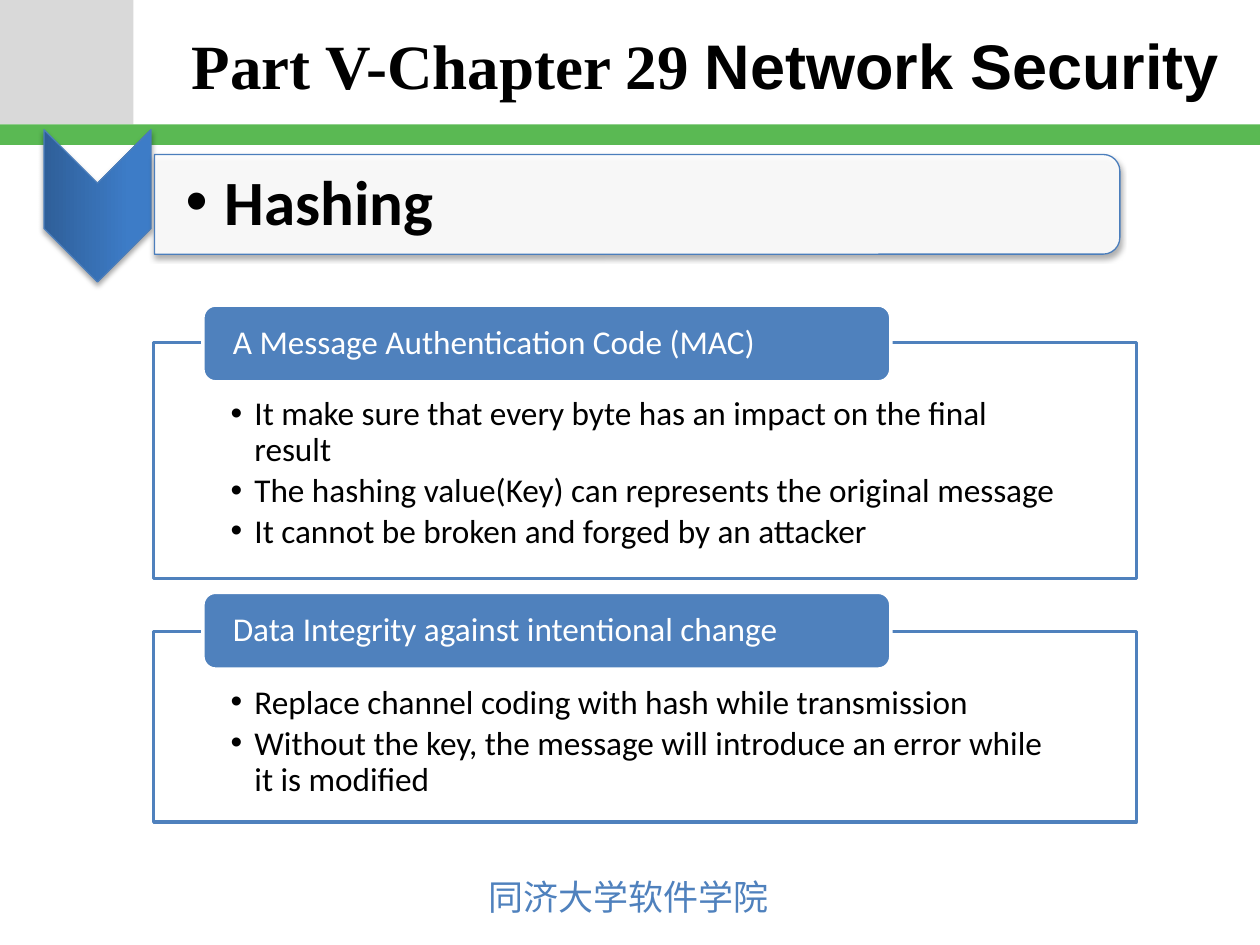
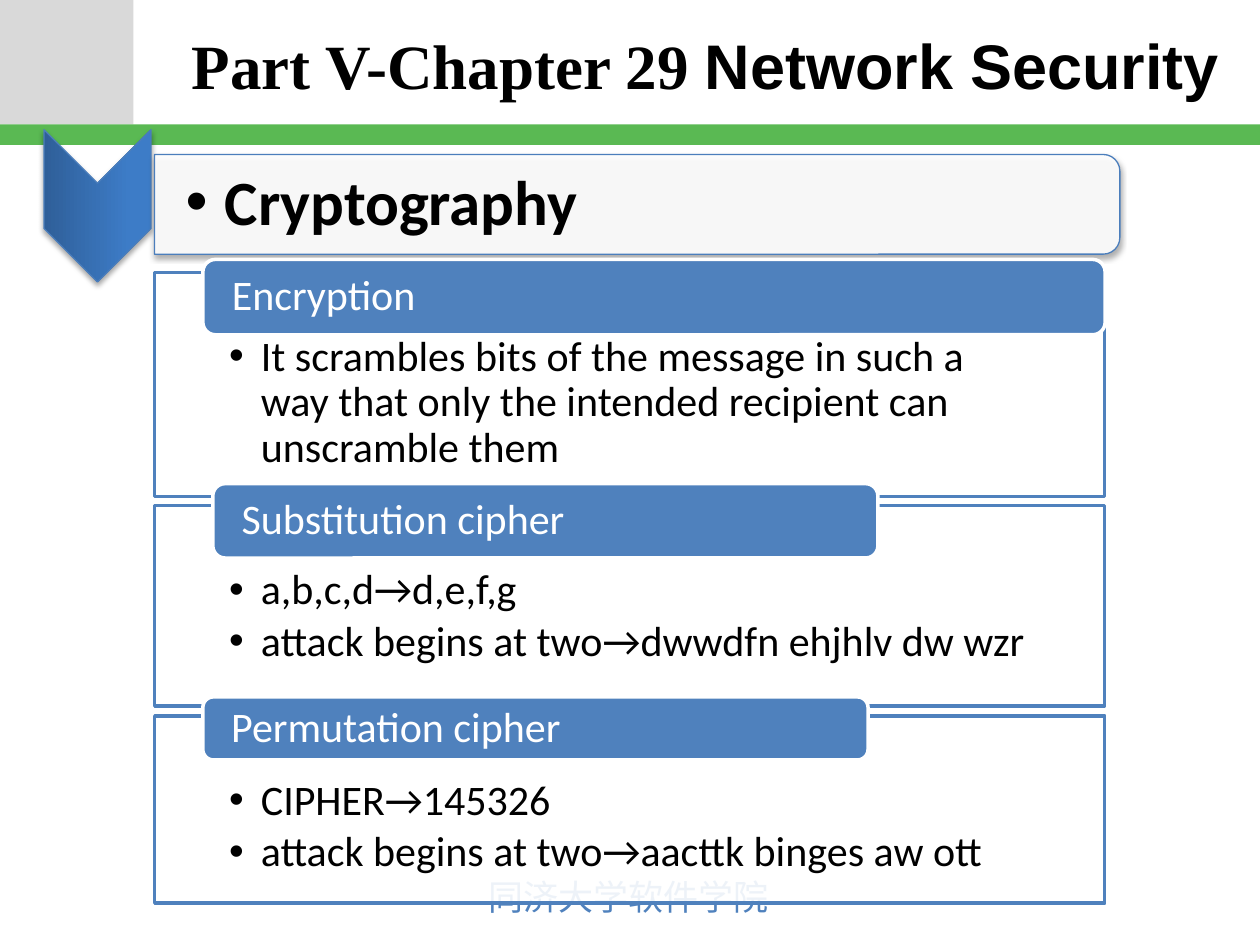
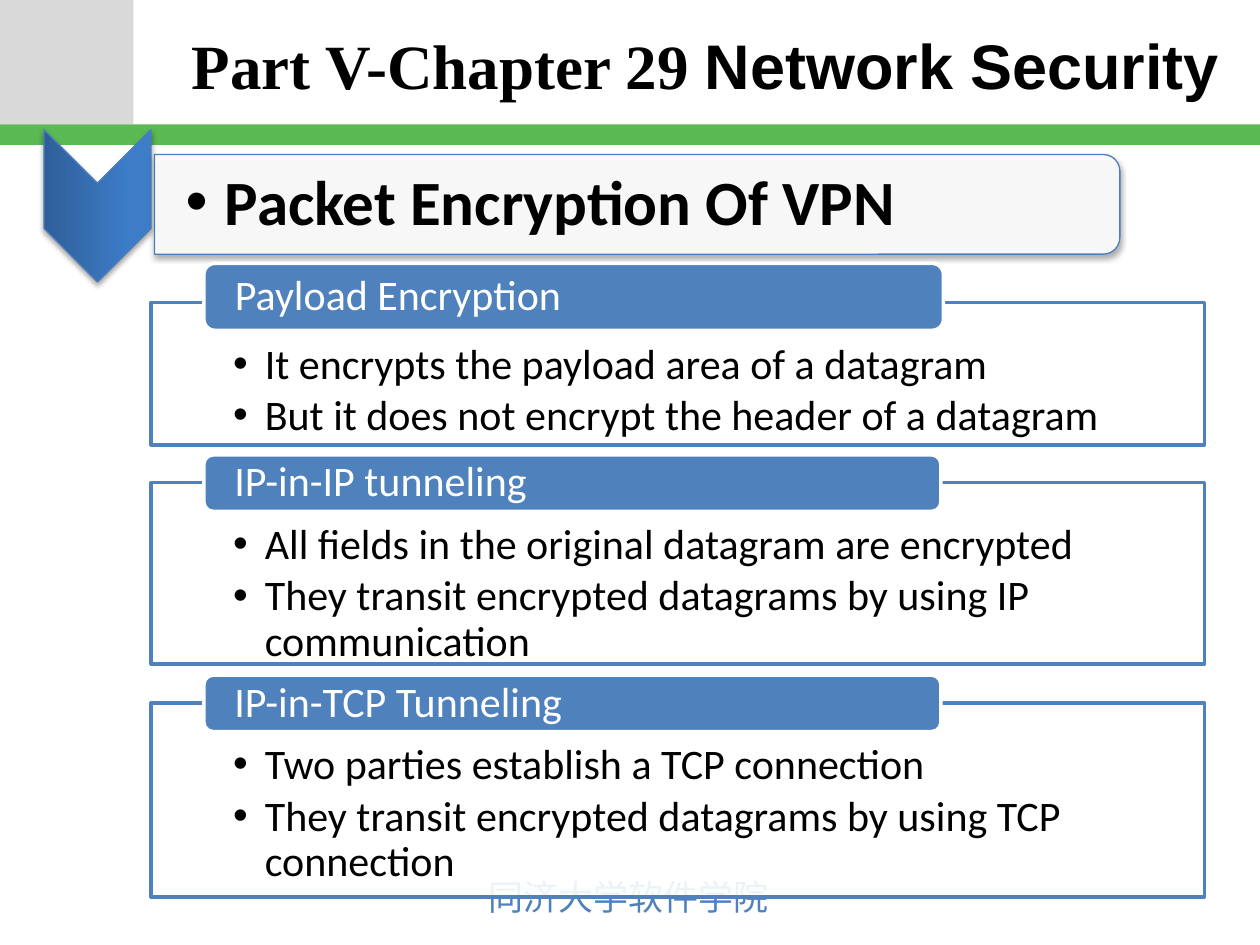
import pptx
import pptx.util
import pptx.dml.color
import pptx.enum.shapes
import pptx.enum.text
import pptx.oxml
import pptx.oxml.ns
from lxml import etree

Cm, Pt = pptx.util.Cm, pptx.util.Pt
RGB = pptx.dml.color.RGBColor
KIND = pptx.enum.shapes.MSO_SHAPE
ALIGN = pptx.enum.text.PP_ALIGN
ANCHOR = pptx.enum.text.MSO_ANCHOR
qn = pptx.oxml.ns.qn

WHITE = RGB(0xFF, 0xFF, 0xFF)
BLACK = RGB(0x00, 0x00, 0x00)
GREY = RGB(0xD9, 0xD9, 0xD9)
GREEN = RGB(0x5A, 0xB9, 0x53)
BLUE = RGB(0x4F, 0x81, 0xBD)
EDGE = RGB(0x4B, 0x7E, 0xBC)
DARK = RGB(0x2F, 0x5F, 0x99)
LIGHT = RGB(0x3D, 0x7C, 0xC7)

# Content: lengths in cm, sizes in points
TITLE = [("Part V-Chapter 29 ", "Times New Roman"), ("Network Security", "Arial")]
FOOTER = "同济大学软件学院"

# box: (top, height); tab: (left, top, width, height)
SLIDES = [
    dict(head="Hashing", size=19, left=3.1, width=19.81,
         side=1.55, top=1.09, hang=0.48, tab_side=0.53, parts=[
        ("A Message Authentication Code (MAC)", (6.91, 4.75), (4.09, 6.15, 13.87, 1.55),
         ["It make sure that every byte has an impact on the final result",
          "The hashing value(Key) can represents the original message",
          "It cannot be broken and forged by an attacker"]),
        ("Data Integrity against intentional change", (12.73, 3.84), (4.09, 11.94, 13.87, 1.55),
         ["Replace channel coding with hash while transmission",
          "Without the key, the message will introduce an error while it is modified"]),
    ]),
    dict(head="Cryptography", size=24, left=3.12, width=19.15,
         side=1.5, top=1.27, hang=0.64, tab_side=0.51, parts=[
        ("Encryption", (5.49, 4.52), (4.09, 5.23, 18.19, 1.52),
         ["It scrambles bits of the message in such a way that only the "
          "intended recipient can unscramble them"]),
        ("Substitution cipher", (10.19, 4.04), (4.29, 9.75, 13.41, 1.5),
         ["a,b,c,d→d,e,f,g",
          "attack begins at two→dwwdfn ehjhlv dw wzr"]),
        ("Permutation cipher", (14.43, 3.78), (4.09, 14.05, 13.41, 1.27),
         ["CIPHER→145326",
          "attack begins at two→aacttk binges aw ott"]),
    ]),
    dict(head="Packet Encryption Of VPN", size=24, left=3.05, width=21.23,
         side=1.65, top=0.81, hang=0.64, tab_side=0.56, parts=[
        ("Payload Encryption", (6.1, 2.87), (4.11, 5.31, 14.91, 1.35),
         ["It encrypts the payload area of a datagram",
          "But it does not encrypt the header of a datagram"]),
        ("IP-in-IP tunneling", (9.73, 3.66), (4.11, 9.17, 14.86, 1.14),
         ["All fields in the original datagram are encrypted",
          "They transit encrypted datagrams by using IP communication"]),
        ("IP-in-TCP Tunneling", (14.17, 3.91), (4.11, 13.61, 14.86, 1.14),
         ["Two parties establish a TCP connection",
          "They transit encrypted datagrams by using TCP connection"]),
    ]),
]


# Helpers
def place(shape, left, top, width, height):
    shape.left, shape.top = Cm(left), Cm(top)
    shape.width, shape.height = Cm(width), Cm(height)


def add(slide, kind, at, fill=None, line=None, weight=2):
    shape = slide.shapes.add_shape(kind, *map(Cm, at))
    shape.shadow.inherit = False
    if fill is not None:
        shape.fill.solid()
        shape.fill.fore_color.rgb = fill
    if line is None:
        shape.line.fill.background()
    else:
        shape.line.color.rgb = line
        shape.line.width = Pt(weight)
    return shape


def fade(shape):
    """Make a solid fill 90% opaque."""
    tint = shape.element.spPr.find(qn("a:solidFill"))[0]
    etree.SubElement(tint, qn("a:alpha"), val="90000")


def shade(shape):
    """Add a soft shadow straight below."""
    effects = shape.element.spPr.find(qn("a:effectLst"))
    cast = etree.SubElement(effects, qn("a:outerShdw"), blurRad="40000",
                            dist="23000", dir="5400000", rotWithShape="0")
    tint = etree.SubElement(cast, qn("a:srgbClr"), val="000000")
    etree.SubElement(tint, qn("a:alpha"), val="35000")


def write(shape, lines, size, color, inset, anchor, hang=0, bold=False):
    """Fill a shape with paragraphs; hang gives them bullets."""
    frame = shape.text_frame
    frame.word_wrap = True
    frame.vertical_anchor = anchor
    (frame.margin_left, frame.margin_top,
     frame.margin_right, frame.margin_bottom) = map(Cm, inset)
    for i, text in enumerate(lines):
        para = frame.paragraphs[0] if i == 0 else frame.add_paragraph()
        para.text = text
        para.alignment = ALIGN.LEFT
        para.line_spacing = 0.9
        para.space_before = Pt(0)
        if hang:
            para.space_after = Pt(0.15 * size)
            props = para._p.get_or_add_pPr()
            props.set("marL", str(Cm(hang)))
            props.set("indent", str(-Cm(hang)))
            etree.SubElement(props, qn("a:buFont"), typeface="Arial")
            etree.SubElement(props, qn("a:buChar"), char="•")
        font = para.font
        font.name, font.size, font.bold = "Calibri", Pt(size), bold
        font.color.rgb = color


# Shared parts
def set_layout(layout, slide):
    """Put the bands, footer and placeholder places on the layout."""
    place(layout.placeholders[0], 3.05, 0.05, 22.35, 2.49)
    place(layout.placeholders[1], 3.1, 3.23, 19.38, 1.8)
    corner = add(slide, KIND.RECTANGLE, (0, 0, 2.69, 2.51), GREY)
    band = add(slide, KIND.RECTANGLE, (0, 2.51, 25.4, 0.41), GREEN)
    foot = slide.shapes.add_textbox(Cm(9.6), Cm(17.53), Cm(6.22), Cm(1.12))
    foot.text_frame.word_wrap = False
    para = foot.text_frame.paragraphs[0]
    para.text = FOOTER
    font = para.font
    font.name, font.size = "Noto Sans CJK JP", Pt(20)
    font.color.rgb = BLUE
    etree.SubElement(font._element, qn("a:ea"), typeface="Noto Sans CJK JP")
    for shape in (corner, band, foot):
        layout.shapes.element.append(shape.element)


def add_title(slide):
    para = slide.shapes.title.text_frame.paragraphs[0]
    para.alignment = ALIGN.CENTER
    para.font.size, para.font.bold = Pt(36), True
    para.font.color.rgb = BLACK
    for text, face in TITLE:
        run = para.add_run()
        run.text, run.font.name = text, face


def add_head(slide, text):
    arrow = add(slide, KIND.CHEVRON, (0.43, 3.07, 3.07, 2.16), line=EDGE, weight=0.75)
    arrow.rotation = 90
    arrow.fill.gradient()
    arrow.fill.gradient_angle = 90
    for stop, color, pos in zip(arrow.fill.gradient_stops, (DARK, LIGHT), (0, 0.8)):
        stop.color.rgb, stop.position = color, pos
    bar = add(slide, KIND.ROUND_2_SAME_RECTANGLE, (11.84, -5.61, 2.01, 19.46),
              WHITE, EDGE, 0.75)
    bar.rotation = 90
    fade(bar)
    for shape in (arrow, bar):
        shade(shape)
    body = slide.placeholders[1]
    slide.shapes.element.append(body.element)  # bring above the bar
    write(body, [text], 36, BLACK, (0.64, 0.05, 0.05, 0.05), ANCHOR.MIDDLE, 0.79, True)


def add_part(slide, data, name, box_at, tab_at, lines):
    top, height = box_at
    box = add(slide, KIND.RECTANGLE, (data["left"], top, data["width"], height), WHITE, BLUE)
    fade(box)
    side = data["side"]
    write(box, lines, data["size"], BLACK, (side, data["top"], side, 0.4),
          ANCHOR.TOP, data["hang"])
    tab = add(slide, KIND.ROUNDED_RECTANGLE, tab_at, BLUE, WHITE)
    side = data["tab_side"]
    write(tab, [name], data["size"], WHITE, (side, 0, side, 0), ANCHOR.MIDDLE)


def main():
    deck = pptx.Presentation()
    deck.slide_width, deck.slide_height = Cm(25.4), Cm(19.05)
    layout = deck.slide_layouts[1]
    for i, data in enumerate(SLIDES):
        slide = deck.slides.add_slide(layout)
        if i == 0:
            set_layout(layout, slide)
        add_title(slide)
        add_head(slide, data["head"])
        for part in data["parts"]:
            add_part(slide, data, *part)
    deck.save("out.pptx")


if __name__ == "__main__":
    main()
